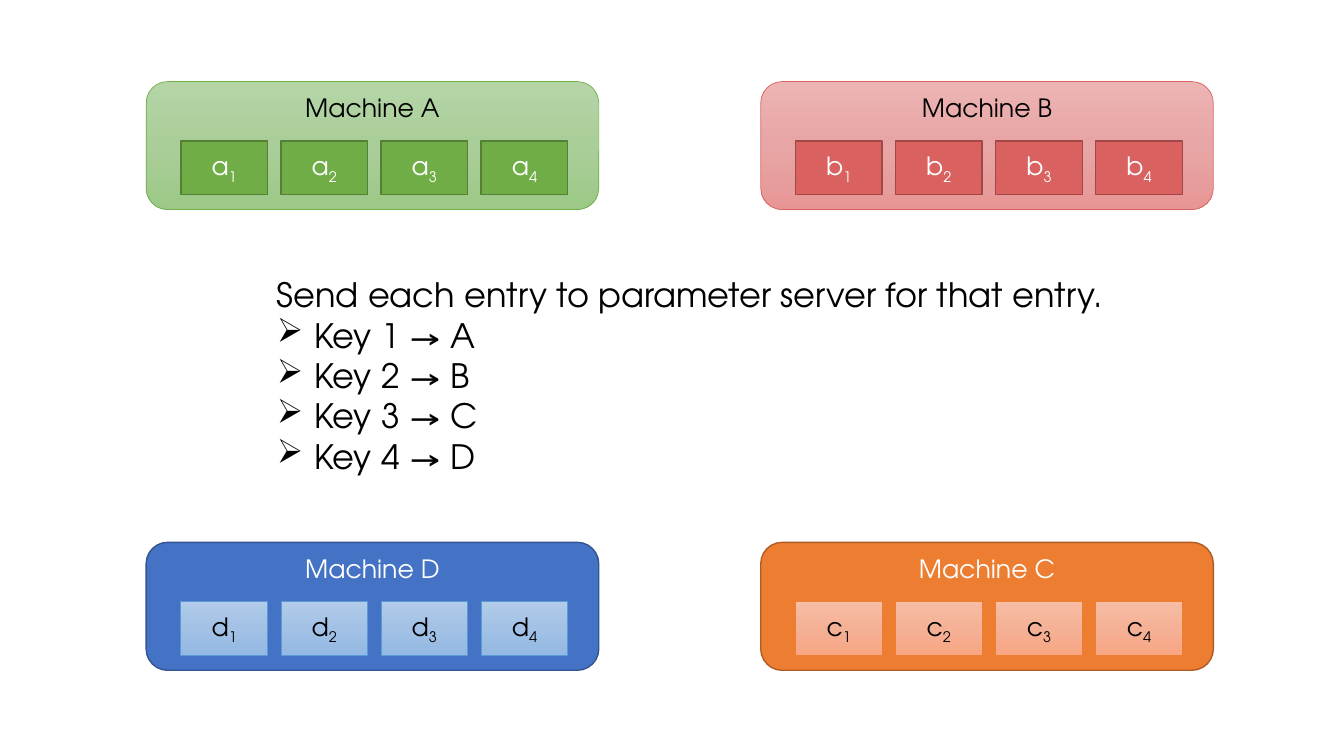
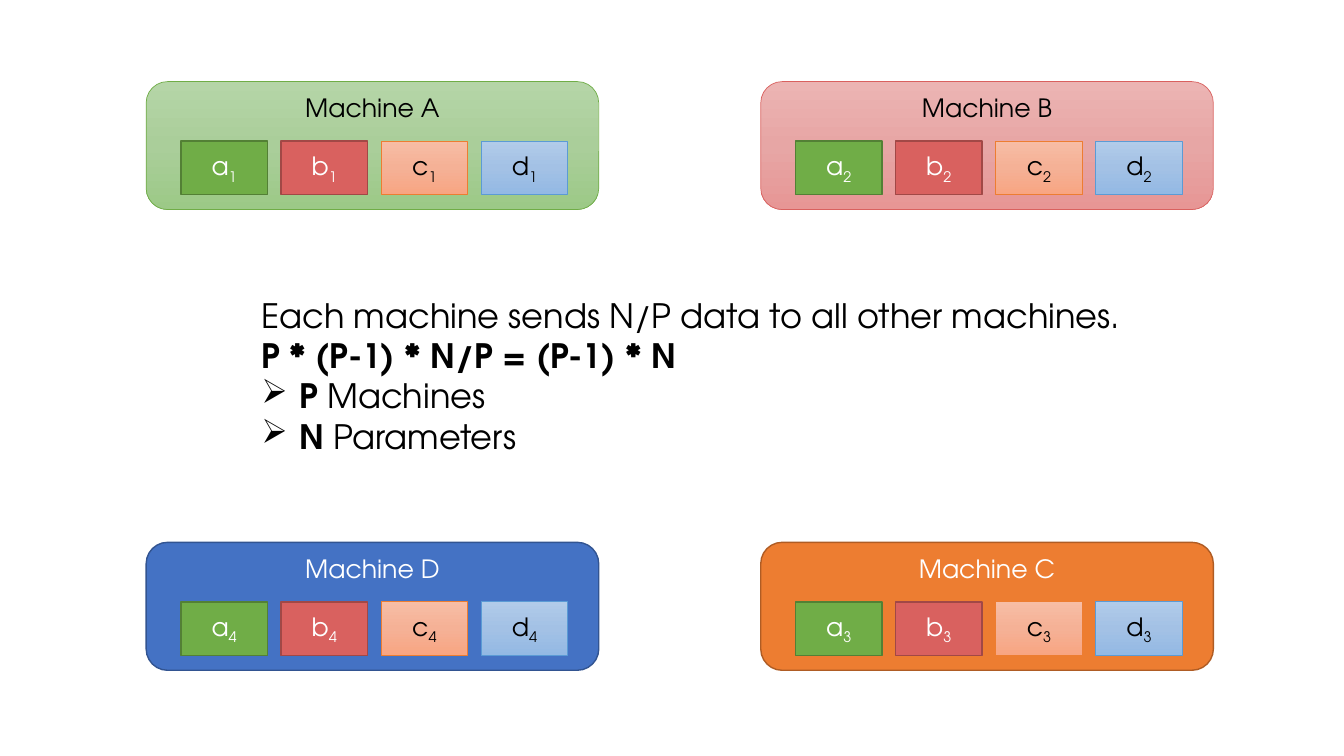
from copy import deepcopy
from dataclasses import dataclass

from lxml.etree import SubElement
from pptx import Presentation
from pptx.dml.color import RGBColor
from pptx.enum.shapes import MSO_SHAPE
from pptx.enum.text import MSO_ANCHOR, MSO_AUTO_SIZE, PP_ALIGN
from pptx.oxml.ns import qn
from pptx.util import Pt

HUES = {
    "black": "000000", "white": "FFFFFF",
    "green": "70AD47", "moss": "538035",
    "mint top": "B5D5A7", "mint mid": "AACE9A", "mint end": "9CC987",
    "red": "D9615F", "wine": "A14846",
    "rose top": "ECB4B3", "rose mid": "E7A6A5", "rose end": "E79695",
    "blue": "4472C4", "navy": "325491", "sky": "5B9BD5",
    "ice top": "B1CBE9", "ice mid": "A3C1E5", "ice end": "93B9E4",
    "orange": "ED7D31", "rust": "AF5C24",
    "peach top": "F7BDA5", "peach mid": "F5B196", "peach end": "F8A582",
}
FACE = "TeX Gyre Adventor"
COUNT = 4
BOX_W, BOX_H = 323.3, 91.4
CELL_W, CELL_H = 61.9, 38.2
CELL_X, CELL_Y, STEP = 24.8, 42.5, 71.5
INDENT = 27


@dataclass(frozen=True)
class Style:
    """A fill of one colour, or of three from top to bottom, with line and ink."""
    fill: tuple[str, ...]
    line: str
    width: float
    ink: str


@dataclass(frozen=True)
class Machine:
    name: str
    left: float
    top: float
    style: Style


@dataclass(frozen=True)
class Line:
    """Runs of text that alternate between plain and bold, plain first."""
    runs: tuple[str, ...]
    bullet: bool = False


@dataclass(frozen=True)
class Note:
    left: float
    top: float
    width: float
    height: float
    lines: tuple[Line, ...]


def fade(name: str, line: str) -> Style:
    return Style((f"{name} top", f"{name} mid", f"{name} end"), line, 0.5, "black")


LEFT, RIGHT, UPPER, LOWER = 104.4, 543.4, 58.3, 387.4
MACHINES = (
    Machine("A", LEFT, UPPER, fade("mint", "green")),
    Machine("B", RIGHT, UPPER, fade("rose", "red")),
    Machine("C", RIGHT, LOWER, Style(("orange",), "rust", 1, "white")),
    Machine("D", LEFT, LOWER, Style(("blue",), "navy", 1, "white")),
)
CELLS = {
    "a": Style(("green",), "moss", 1, "white"),
    "b": Style(("red",), "wine", 1, "white"),
    "c": fade("peach", "orange"),
    "d": fade("ice", "sky"),
}
SEND = Note(190.6, 192.4, 613.4, 152.6, (
    Line(("Send each entry to parameter server for that entry.",)),
    *(Line((f"Key {key} → {name}",), True) for key, name in enumerate("ABCD", 1)),
))
COST = Note(179.7, 206.8, 633.6, 123.8, (
    Line(("Each machine sends N/P data to all other machines.",)),
    Line(("", "P * (P-1) * N/P = (P-1) * N")),
    Line(("", "P", " Machines"), True),
    Line(("", "N", " Parameters"), True),
))


def rgb(name: str) -> RGBColor:
    return RGBColor.from_string(HUES[name])


def write(par, text: str, size: float, ink: str, bold: bool = False):
    run = par.add_run()
    run.text = text
    for key, value in {"name": FACE, "size": Pt(size), "bold": bold}.items():
        setattr(run.font, key, value)
    run.font.color.rgb = rgb(ink)
    return run


def paint(fill, hues: tuple[str, ...]) -> None:
    if len(hues) == 1:
        fill.solid()
        fill.fore_color.rgb = rgb(hues[0])
        return
    fill.gradient()
    fill.gradient_angle = 270
    first = fill.gradient_stops[0]._gs
    first.addnext(deepcopy(first))
    for stop, hue, place in zip(fill.gradient_stops, hues, (0, 0.5, 1)):
        stop.color.rgb = rgb(hue)
        stop.position = place


def block(slide, kind, area: tuple[float, ...], style: Style, text: str, anchor):
    """Draw a filled shape and return its paragraph."""
    shape = slide.shapes.add_shape(kind, *map(Pt, area))
    shape.shadow.inherit = False
    paint(shape.fill, style.fill)
    shape.line.color.rgb = rgb(style.line)
    shape.line.width = Pt(style.width)
    shape.text_frame.vertical_anchor = anchor
    par = shape.text_frame.paragraphs[0]
    par.alignment = PP_ALIGN.CENTER
    write(par, text, 18, style.ink)
    return par


def host(slide, machine: Machine, cells: list[tuple[str, int]]) -> None:
    """Draw a machine with its row of cells."""
    block(slide, MSO_SHAPE.ROUNDED_RECTANGLE,
          (machine.left, machine.top, BOX_W, BOX_H), machine.style,
          f"Machine {machine.name}", MSO_ANCHOR.TOP)
    for col, (letter, index) in enumerate(cells):
        area = (machine.left + CELL_X + col * STEP, machine.top + CELL_Y,
                CELL_W, CELL_H)
        style = CELLS[letter]
        par = block(slide, MSO_SHAPE.RECTANGLE, area, style, letter, MSO_ANCHOR.MIDDLE)
        sub = write(par, str(index), 18, style.ink)
        sub._r.get_or_add_rPr().set("baseline", "-25000")


def mark(par) -> None:
    """Give a paragraph an arrow bullet and a hanging indent."""
    props = par._p.get_or_add_pPr()
    props.set("marL", str(Pt(INDENT)))
    props.set("indent", str(-Pt(INDENT)))
    SubElement(props, qn("a:buChar")).set("char", "➢")


def tell(slide, note: Note) -> None:
    area = (note.left, note.top, note.width, note.height)
    frame = slide.shapes.add_textbox(*map(Pt, area)).text_frame
    frame.word_wrap = False
    frame.auto_size = MSO_AUTO_SIZE.SHAPE_TO_FIT_TEXT
    for row, line in enumerate(note.lines):
        par = frame.add_paragraph() if row else frame.paragraphs[0]
        if line.bullet:
            mark(par)
        for place, text in enumerate(line.runs):
            if text:
                write(par, text, 24, "black", place % 2 == 1)


def main() -> None:
    deck = Presentation()
    deck.slide_width, deck.slide_height = Pt(960), Pt(540)
    for note, shared in ((SEND, False), (COST, True)):
        slide = deck.slides.add_slide(deck.slide_layouts[6])
        for index, machine in enumerate(MACHINES, 1):
            if shared:
                cells = [(letter, index) for letter in CELLS]
            else:
                cells = [(machine.name.lower(), n + 1) for n in range(COUNT)]
            host(slide, machine, cells)
        tell(slide, note)
    deck.save("out.pptx")


if __name__ == "__main__":
    main()
